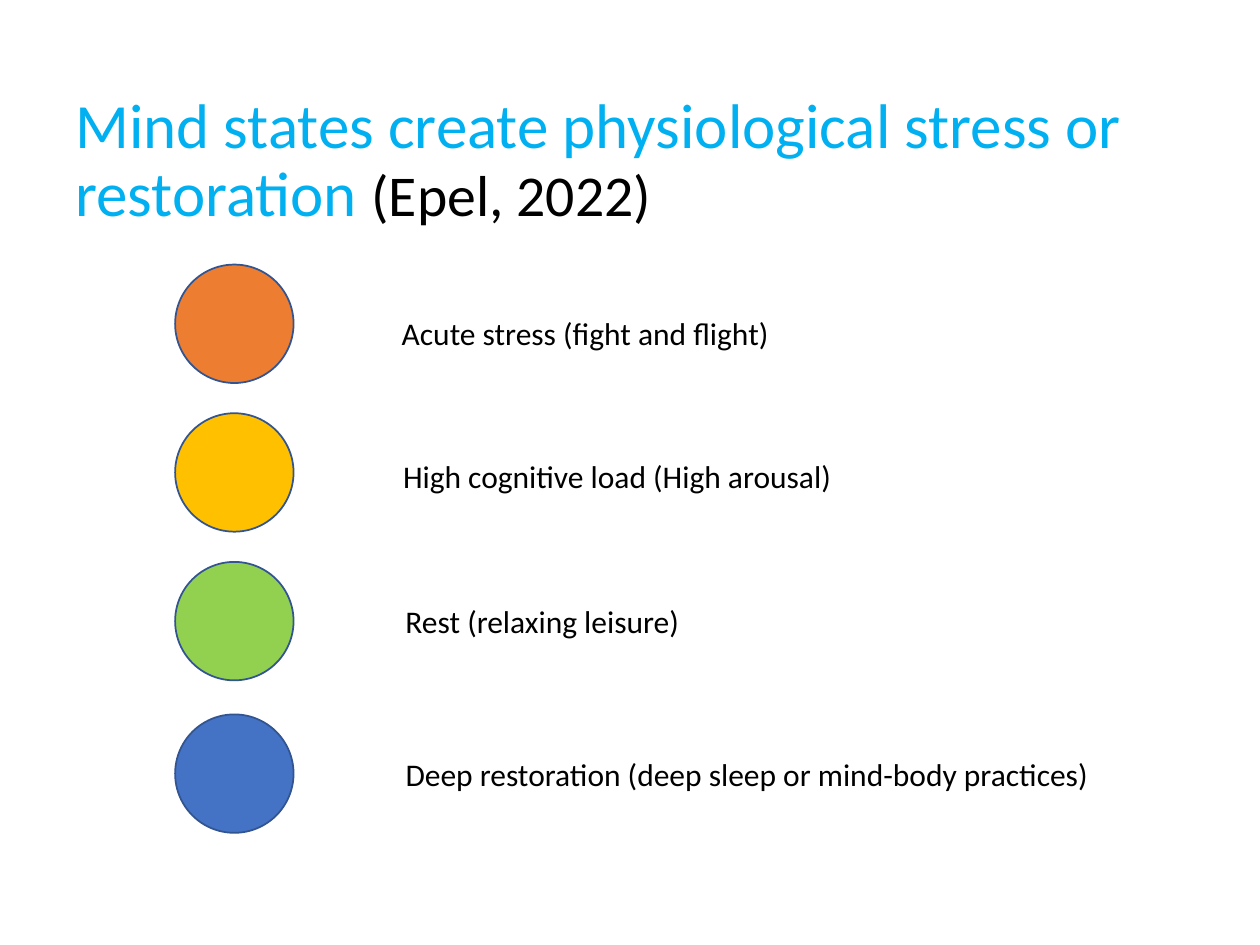
import pptx
import pptx.util
import pptx.dml.color
import pptx.enum.shapes
import pptx.enum.text

COLORS = {
    "title": "00B0F0", "text": "000000", "outline": "325491",
    "acute": "ED7D31", "load": "FFC000", "rest": "92D050", "deep": "4472C4",
}
FONT = "Calibri"

# Grid of 100 columns by 75 rows over a 10 x 7.5 inch slide
COLS, ROWS = 100, 75
WIDTH, HEIGHT = pptx.util.Inches(10), pptx.util.Inches(7.5)

# Each state: color, label, circle row, label column, label row, label columns
STATES = [
    ("acute", "Acute stress (fight and flight)", 21, 30.9, 24.4, 40.4),
    ("load", "High cognitive load (High arousal)", 32.8, 31, 35.8, 52.9),
    ("rest", "Rest (relaxing leisure)", 44.6, 31.2, 47.3, 40),
    ("deep", "Deep restoration (deep sleep or mind-body practices)", 56.7, 31.2, 59.4, 68.8),
]
CIRCLE_COL, CIRCLE_SIZE, LABEL_ROWS = 13.9, 9.4, 4


def grid(col, row, cols, rows):
    return (round(WIDTH * col / COLS), round(HEIGHT * row / ROWS),
            round(WIDTH * cols / COLS), round(HEIGHT * rows / ROWS))


def rgb(name):
    return pptx.dml.color.RGBColor.from_string(COLORS[name])


def add_text(s, box, runs, anchor, line_spacing=None):
    tf = s.shapes.add_textbox(*box).text_frame
    tf.word_wrap = True
    tf.vertical_anchor = anchor
    p = tf.paragraphs[0]
    if line_spacing:
        p.line_spacing = line_spacing
    for text, size, color in runs:
        r = p.add_run()
        r.text = text
        r.font.name = FONT
        r.font.size = pptx.util.Pt(size)
        r.font.color.rgb = rgb(color)


def add_title(s, box):
    runs = [("Mind states create physiological stress or restoration ", 36, "title"),
            ("(Epel, 2022)", 33, "text")]
    add_text(s, box, runs, pptx.enum.text.MSO_ANCHOR.MIDDLE, 0.9)


def add_state(s, circle_box, label_box, color, label):
    # Colored circle
    sp = s.shapes.add_shape(pptx.enum.shapes.MSO_SHAPE.OVAL, *circle_box)
    sp.shadow.inherit = False
    sp.fill.solid()
    sp.fill.fore_color.rgb = rgb(color)
    sp.line.color.rgb = rgb("outline")
    sp.line.width = pptx.util.Pt(1)
    # Label beside it
    add_text(s, label_box, [(label, 18, "text")], pptx.enum.text.MSO_ANCHOR.TOP)


def main():
    prs = pptx.Presentation()
    prs.slide_width, prs.slide_height = WIDTH, HEIGHT
    s = prs.slides.add_slide(prs.slide_layouts[6])
    add_title(s, grid(5, 6.6, 90, 12.5))
    for color, label, circle_row, col, row, cols in STATES:
        add_state(s, grid(CIRCLE_COL, circle_row, CIRCLE_SIZE, CIRCLE_SIZE),
                  grid(col, row, cols, LABEL_ROWS), color, label)
    prs.save("out.pptx")


if __name__ == "__main__":
    main()
